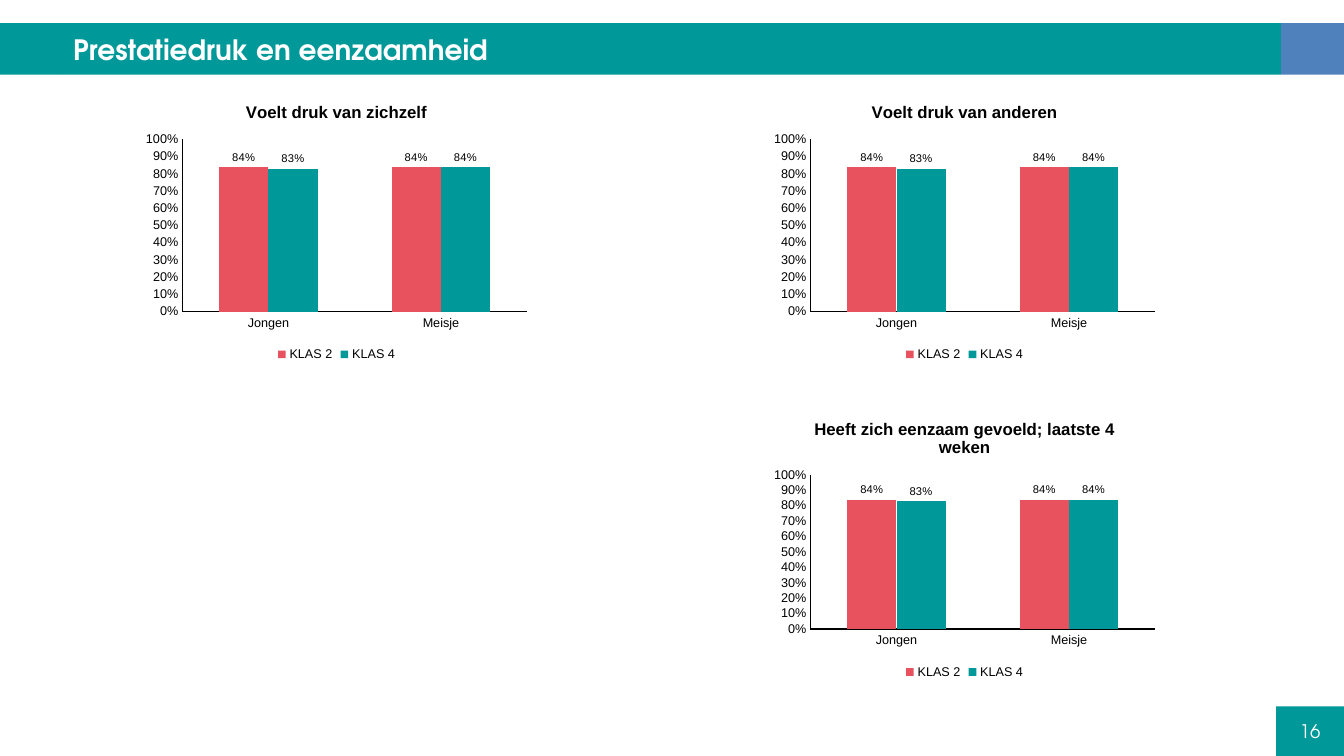
from dataclasses import dataclass

from pptx import Presentation
from pptx.chart.data import CategoryChartData
from pptx.dml.color import RGBColor
from pptx.enum.chart import XL_CHART_TYPE, XL_LABEL_POSITION, XL_LEGEND_POSITION, XL_TICK_MARK
from pptx.enum.shapes import MSO_SHAPE
from pptx.enum.text import MSO_ANCHOR, MSO_AUTO_SIZE, PP_ALIGN
from pptx.util import Inches, Pt

RECT = MSO_SHAPE.RECTANGLE
COLUMNS = XL_CHART_TYPE.COLUMN_CLUSTERED
OUTSIDE = XL_LABEL_POSITION.OUTSIDE_END
BOTTOM = XL_LEGEND_POSITION.BOTTOM
NO_TICK = XL_TICK_MARK.NONE
MIDDLE = MSO_ANCHOR.MIDDLE
NO_FIT = MSO_AUTO_SIZE.NONE
LEFT, CENTER = PP_ALIGN.LEFT, PP_ALIGN.CENTER
TITLE_ONLY = 5


@dataclass(frozen=True)
class Theme:
    """Colours, fonts and type sizes of the slide."""
    teal: str = "009898"
    blue: str = "4F81BD"
    red: str = "E8525F"
    white: str = "FFFFFF"
    black: str = "000000"
    heading_font: str = "TeX Gyre Adventor"
    chart_font: str = "Arial"
    heading: float = 20
    page: float = 13.3
    chart_title: float = 12
    axis: float = 9
    label: float = 8


class Deck:
    """Holds the theme and the current slide; lengths are percentages of the slide."""

    def __init__(self, prs, theme):
        """Add a title-only slide to the presentation."""
        self.prs, self.theme = prs, theme
        self.s = prs.slides.add_slide(prs.slide_layouts[TITLE_ONLY])

    def box(self, x, y, w, h):
        """Turn percentages into left, top, width and height."""
        width, height = self.prs.slide_width, self.prs.slide_height
        return [round(share * side / 100)
                for share, side in zip((x, y, w, h), (width, height) * 2)]

    def style(self, font, size, color, name=None, bold=False):
        """Set size, colour, family and weight of a font."""
        font.size, font.bold = Pt(size), bold
        font.name = name or self.theme.chart_font
        font.color.rgb = RGBColor.from_string(color)

    def paint(self, target, color):
        """Give a shape or series a plain fill."""
        target.fill.solid()
        target.fill.fore_color.rgb = RGBColor.from_string(color)

    def text(self, sp, words, size, align, bold=False):
        """Put one white run in the heading font into a shape."""
        tf = sp.text_frame
        tf.word_wrap, tf.auto_size, tf.vertical_anchor = True, NO_FIT, MIDDLE
        p = tf.paragraphs[0]
        p.alignment = align
        r = p.add_run()
        r.text = words
        self.style(r.font, size, self.theme.white, self.theme.heading_font, bold)

    def block(self, color, *area):
        """Add a plain rectangle."""
        sp = self.s.shapes.add_shape(RECT, *self.box(*area))
        sp.shadow.inherit = False
        sp.line.fill.background()
        self.paint(sp, color)
        return sp

    def title(self, words, *area):
        """Move, fill and letter the title placeholder."""
        sp = self.s.shapes.title
        sp.left, sp.top, sp.width, sp.height = self.box(*area)
        self.paint(sp, self.theme.teal)
        self.text(sp, words, self.theme.heading, LEFT, True)

    def axis(self, axis):
        """Format an axis: black line, small text, no ticks or gridlines."""
        axis.has_major_gridlines = False
        axis.major_tick_mark = axis.minor_tick_mark = NO_TICK
        axis.format.line.width = Pt(1)
        axis.format.line.color.rgb = RGBColor.from_string(self.theme.black)
        self.style(axis.tick_labels.font, self.theme.axis, self.theme.black)

    def chart(self, title, categories, series, *area):
        """Add a clustered column chart of percentages."""
        t = self.theme
        data = CategoryChartData(number_format="0%")
        data.categories = categories
        for name, values in series.items():
            data.add_series(name, values)
        chart = self.s.shapes.add_chart(COLUMNS, *self.box(*area), data).chart
        self.style(chart.font, t.axis, t.black)

        chart.has_title = True
        r = chart.chart_title.text_frame.paragraphs[0].add_run()
        r.text = title
        self.style(r.font, t.chart_title, t.black, bold=True)

        chart.has_legend = True
        chart.legend.position = BOTTOM
        chart.legend.include_in_layout = False
        self.style(chart.legend.font, t.axis, t.black)

        self.axis(chart.category_axis)
        values = chart.value_axis
        self.axis(values)
        values.minimum_scale, values.maximum_scale, values.major_unit = 0, 1, 0.1
        values.tick_labels.number_format = "0%"
        values.tick_labels.number_format_is_linked = False

        plot = chart.plots[0]
        plot.gap_width, plot.overlap, plot.vary_by_categories = 150, 0, False
        for ser, color in zip(plot.series, (t.red, t.teal)):
            self.paint(ser.format, color)
            labels = ser.data_labels
            labels.show_value, labels.position = True, OUTSIDE
            labels.number_format, labels.number_format_is_linked = "0%", False
            self.style(labels.font, t.label, t.black)


def main():
    """Build the slide and save it."""
    prs = Presentation()
    prs.slide_width, prs.slide_height = Inches(13.33), Inches(7.5)
    theme = Theme()
    deck = Deck(prs, theme)

    edge, band_top, band_height = 4.7, 3.07, 6.8
    deck.title("Prestatiedruk en eenzaamheid", edge, band_top, 100 - 2 * edge, band_height)
    for color, x in ((theme.teal, 0), (theme.blue, 100 - edge)):
        deck.block(color, x, band_top, edge, band_height)
    page = deck.block(theme.teal, 94.95, 93.45, 5.05, 6.55)
    deck.text(page, "16", theme.page, CENTER)

    columns, rows = (10.27, 57), (11.6, 53.6)
    series = {"KLAS 2": (0.84, 0.84), "KLAS 4": (0.83, 0.84)}
    charts = (("Voelt druk van zichzelf", 0, 0),
              ("Voelt druk van anderen", 1, 0),
              ("Heeft zich eenzaam gevoeld; laatste 4 weken", 1, 1))
    for title, col, row in charts:
        deck.chart(title, ("Jongen", "Meisje"), series,
                   columns[col], rows[row], 29.55, 36.8)

    prs.save("out.pptx")


main()
